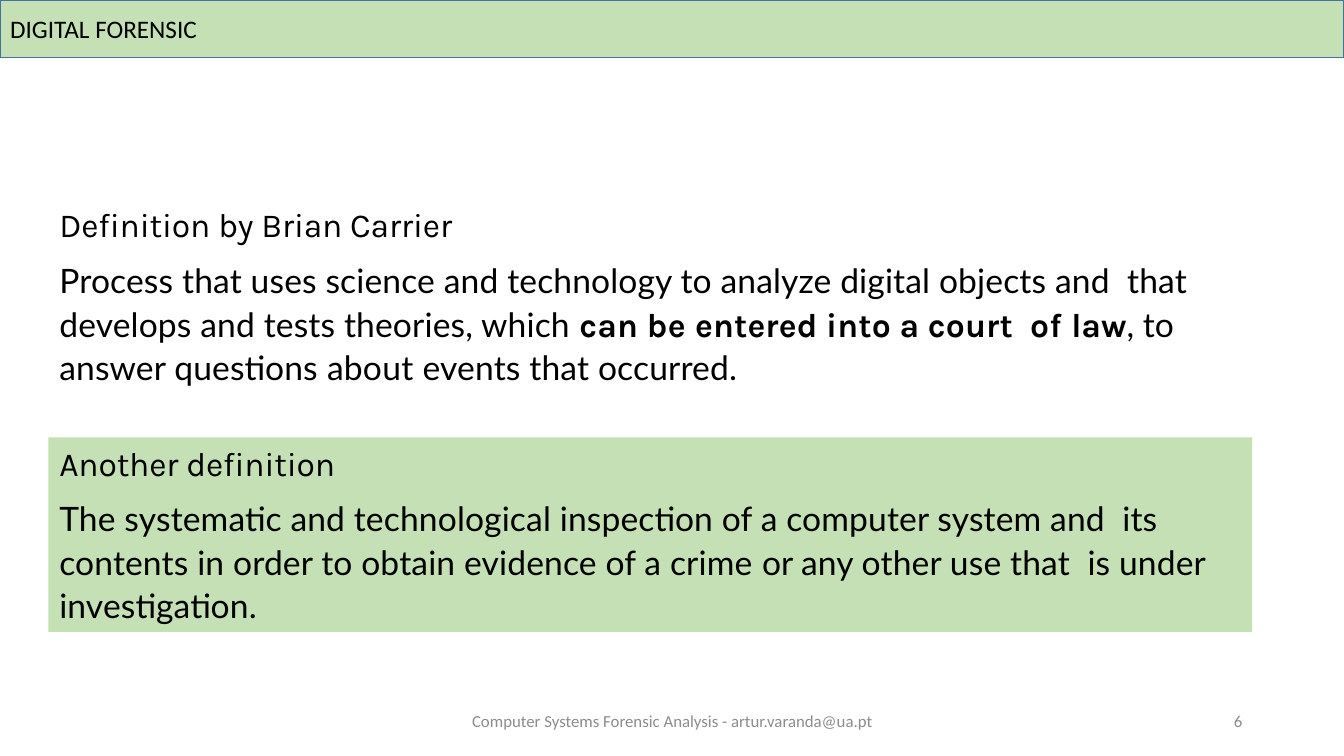
"""Build the digital forensic definitions slide."""
from dataclasses import dataclass

from pptx import Presentation
from pptx.dml.color import RGBColor
from pptx.enum.shapes import MSO_SHAPE
from pptx.enum.text import MSO_ANCHOR, MSO_AUTO_SIZE, PP_ALIGN
from pptx.shapes.autoshape import Shape
from pptx.slide import Slide
from pptx.util import Pt

EMU_PER_PX = 9144
BLACK = RGBColor(0x00, 0x00, 0x00)
GRAY = RGBColor(0x8C, 0x8C, 0x8C)
GREEN = RGBColor(0xC5, 0xE0, 0xB4)
BLUE = RGBColor(0x43, 0x73, 0x9E)


@dataclass(frozen=True)
class TextRun:
    text: str
    font: str = "Lato"
    tracking: int = 10
    size: int = 24
    color: RGBColor = BLACK
    bold: bool = False


@dataclass(frozen=True)
class TextLine:
    runs: tuple[TextRun, ...]
    layout: dict
    indent: int = 0


@dataclass(frozen=True)
class Block:
    box: tuple[int, int, int, int]
    lines: tuple[TextLine, ...]
    anchor: MSO_ANCHOR = MSO_ANCHOR.TOP
    filled: bool = False


def px(length: int) -> int:
    return length * EMU_PER_PX


def set_values(target: object, values: dict) -> None:
    for name, value in values.items():
        setattr(target, name, value)


def place(shape: Shape, box: tuple[int, int, int, int]) -> None:
    set_values(shape, dict(zip(("left", "top", "width", "height"), map(px, box))))


def write_lines(shape: Shape, lines: tuple[TextLine, ...], anchor: MSO_ANCHOR) -> None:
    frame = shape.text_frame
    set_values(frame, {"word_wrap": True, "auto_size": MSO_AUTO_SIZE.NONE, "vertical_anchor": anchor})
    for index, line in enumerate(lines):
        paragraph = frame.add_paragraph() if index else frame.paragraphs[0]
        set_values(paragraph, line.layout)
        paragraph._p.get_or_add_pPr().set("marL", str(px(line.indent)))
        for piece in line.runs:
            run = paragraph.add_run()
            run.text = piece.text
            set_values(run.font, {"name": piece.font, "size": Pt(piece.size), "bold": piece.bold})
            run.font.color.rgb = piece.color
            run._r.get_or_add_rPr().set("spc", str(piece.tracking))


def draw_block(slide: Slide, block: Block) -> None:
    if block.filled:
        shape = slide.shapes.add_shape(MSO_SHAPE.RECTANGLE, *map(px, block.box))
        shape.shadow.inherit = False
        shape.fill.solid()
        shape.fill.fore_color.rgb = GREEN
        shape.line.fill.background()
    else:
        shape = slide.shapes.add_textbox(*map(px, block.box))
    write_lines(shape, block.lines, block.anchor)


def heading(*runs: TextRun) -> TextLine:
    return TextLine(runs, {"alignment": PP_ALIGN.LEFT}, 1)


def body(space_before: float, *runs: TextRun) -> TextLine:
    layout = {"alignment": PP_ALIGN.LEFT, "line_spacing": 1.07, "space_before": Pt(space_before)}
    return TextLine(runs, layout, 1)


def footer(box: tuple[int, int, int, int], text: str, alignment: PP_ALIGN) -> Block:
    line = TextLine((TextRun(text, "Calibri", 0, 12, GRAY),), {"alignment": alignment})
    return Block(box, (line,), MSO_ANCHOR.MIDDLE)


TITLE = TextLine((TextRun("DIGITAL FORENSIC", "Calibri", 0, 18),), {"alignment": PP_ALIGN.LEFT})

BLOCKS = (
    footer((942, 695, 300, 40), "6", PP_ALIGN.RIGHT),
    footer((442, 695, 450, 40), "Computer Systems Forensic Analysis - artur.varanda@ua.pt", PP_ALIGN.CENTER),
    Block((48, 197, 1238, 194), (
        heading(
            TextRun("Definition ", "Karla", -10),
            TextRun("by ", "Karla", -20),
            TextRun("Brian Carrier", "Karla", -10),
        ),
        body(
            9.8,
            TextRun("Process that uses science and technology to analyze digital objects and  that "
                    "develops and tests theories, which "),
            TextRun("can ", "Karla", bold=True),
            TextRun("be ", "Karla", 30, bold=True),
            TextRun("entered into a court  of ", "Karla", bold=True),
            TextRun("law", "Karla", 0, bold=True),
            TextRun(", ", tracking=0),
            TextRun("to answer questions "),
            TextRun("about ", tracking=20),
            TextRun("events that occurred."),
        ),
    )),
    Block((48, 434, 1194, 193), (
        heading(TextRun("Another definition", "Karla", -10)),
        body(
            9.1,
            TextRun("The systematic and technological inspection of a computer system and  its "
                    "contents in order to obtain evidence of a crime "),
            TextRun("or ", tracking=-10),
            TextRun("any other use that  is under investigation."),
        ),
    ), filled=True),
)


def main() -> None:
    presentation = Presentation()
    set_values(presentation, {"slide_width": px(1333), "slide_height": px(750)})
    slide = presentation.slides.add_slide(presentation.slide_layouts[5])
    title = slide.shapes.title
    place(title, (0, 0, 1333, 57))
    title.fill.solid()
    title.fill.fore_color.rgb = GREEN
    title.line.color.rgb = BLUE
    title.line.width = Pt(1)
    write_lines(title, (TITLE,), MSO_ANCHOR.MIDDLE)
    for block in BLOCKS:
        draw_block(slide, block)
    presentation.save("out.pptx")


if __name__ == "__main__":
    main()
